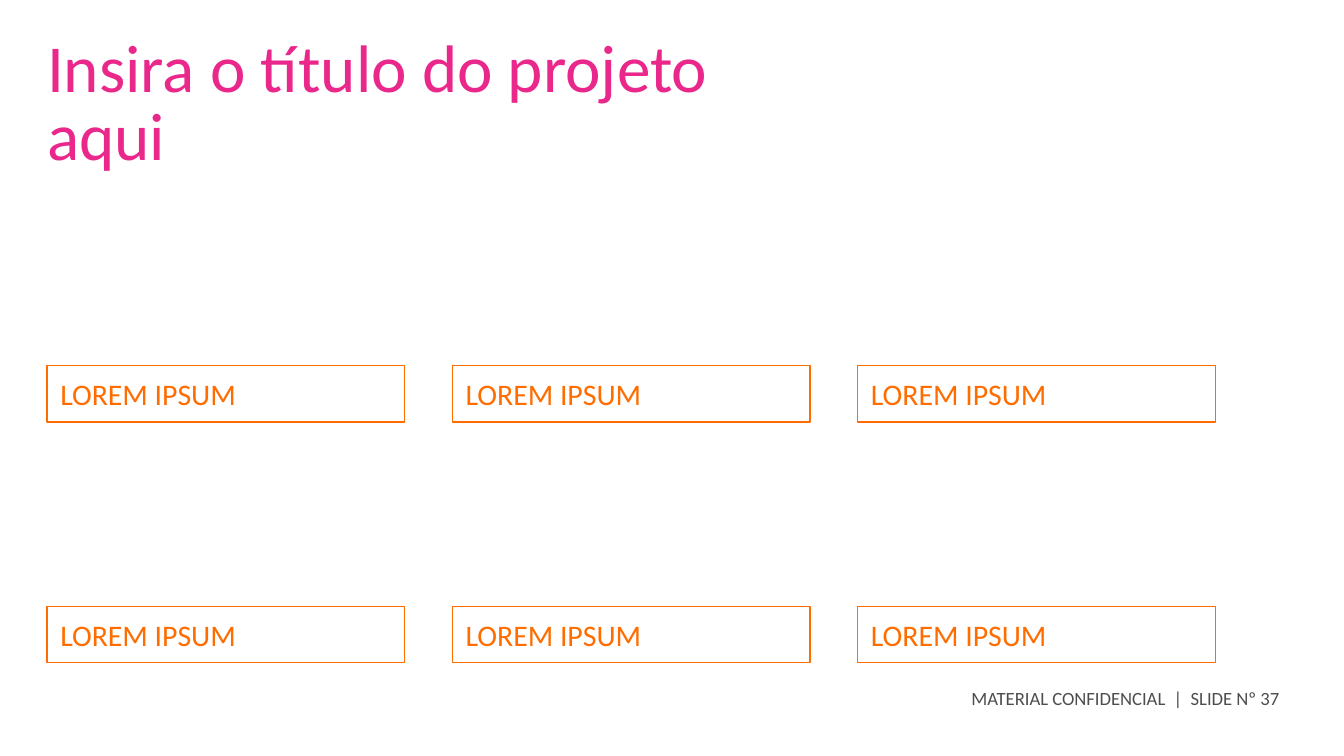
from pptx import Presentation
from pptx.dml.color import RGBColor
from pptx.enum.shapes import MSO_SHAPE
from pptx.enum.text import MSO_ANCHOR, MSO_AUTO_SIZE, PP_ALIGN
from pptx.util import Cm, Pt

RECT = MSO_SHAPE.RECTANGLE
TOP, MIDDLE = MSO_ANCHOR.TOP, MSO_ANCHOR.MIDDLE
FIXED = MSO_AUTO_SIZE.NONE
LEFT = PP_ALIGN.LEFT

COLORS = {"title": "EA288C", "label": "FF6D00", "footer": "4D4D4D"}
FONT = "Calibri"

# Grid of labels, in cm
EDGE = 0.89
ROW_TOP = 6.91
STEP_X, STEP_Y = 7.66, 4.55
COLS, ROWS = 3, 2
BOX_W, BOX_H = 6.76, 1.07


def color(name):
    return RGBColor.from_string(COLORS[name])


def set_text(shape, text, size, tint, anchor=TOP, inset=0):
    frame = shape.text_frame
    frame.text = text
    form = {
        "word_wrap": True,
        "auto_size": FIXED,
        "vertical_anchor": anchor,
        "margin_left": Cm(inset),
        "margin_right": Cm(inset),
        "margin_top": 0,
        "margin_bottom": 0,
    }
    for key, value in form.items():
        setattr(frame, key, value)
    para = frame.paragraphs[0]
    para.alignment = LEFT
    font = para.runs[0].font
    for key, value in {"name": FONT, "size": Pt(size)}.items():
        setattr(font, key, value)
    font.color.rgb = color(tint)
    return para


def add_title(slide, text):
    title = slide.shapes.title
    place = {"left": EDGE, "top": 0.74, "width": 14.4, "height": 2.34}
    for key, value in place.items():
        setattr(title, key, Cm(value))
    para = set_text(title, text, 36, "title")
    para.line_spacing = Pt(36)


def add_label(slide, left, top, text):
    box = slide.shapes.add_shape(RECT, Cm(left), Cm(top), Cm(BOX_W), Cm(BOX_H))
    box.shadow.inherit = False
    box.fill.background()
    box.line.color.rgb = color("label")
    box.line.width = Pt(0.75)
    set_text(box, text, 16, "label", MIDDLE, 0.25)


def add_footer(slide, text):
    box = slide.shapes.add_textbox(Cm(18.36), Cm(12.98), Cm(5.92), Cm(0.76))
    set_text(box, text, 10, "footer")


def main():
    deck = Presentation()
    deck.slide_width, deck.slide_height = Cm(25.4), Cm(14.29)
    slide = deck.slides.add_slide(deck.slide_layouts[5])

    # Footer and title
    add_footer(slide, "MATERIAL CONFIDENCIAL  |  SLIDE Nº 37")
    add_title(slide, "Insira o título do projeto aqui")

    # Labels, row by row
    for row in range(ROWS):
        for col in range(COLS):
            add_label(slide, EDGE + col * STEP_X, ROW_TOP + row * STEP_Y,
                      "LOREM IPSUM")

    deck.save("out.pptx")


if __name__ == "__main__":
    main()
